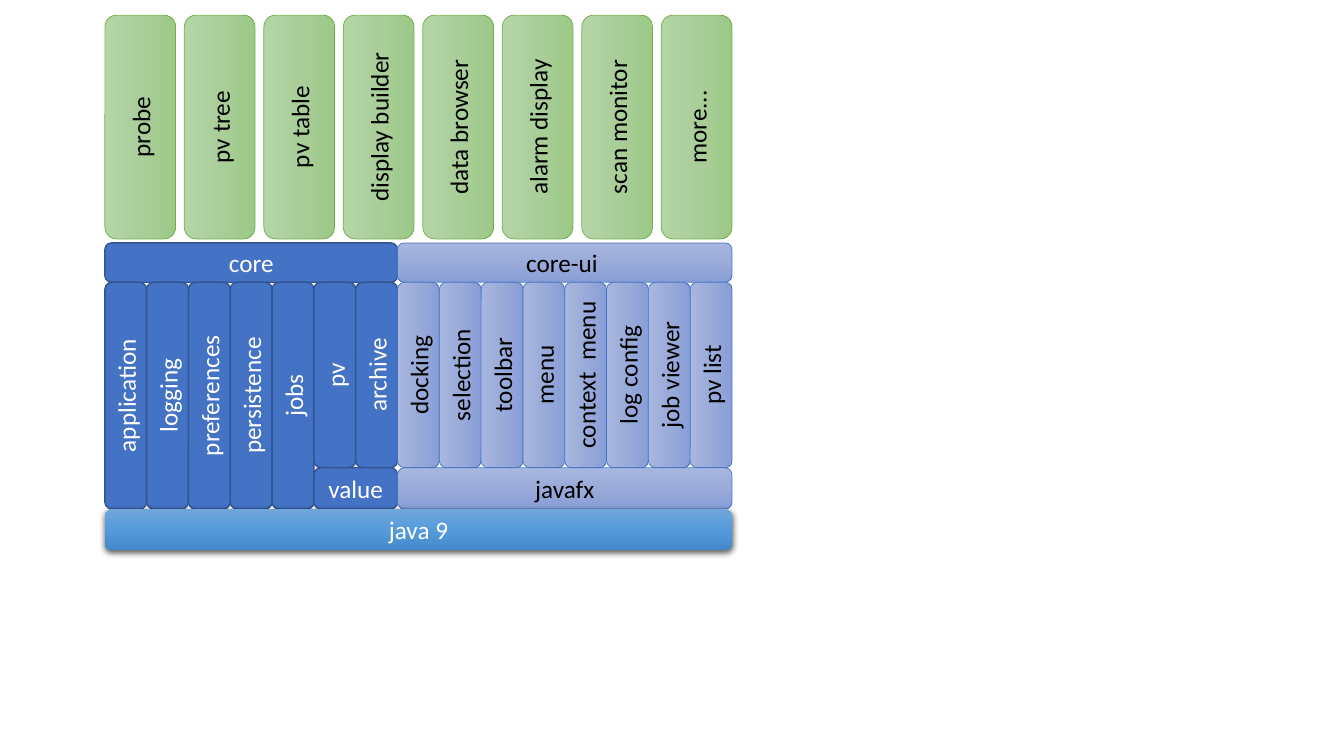
from copy import deepcopy
from dataclasses import dataclass
from typing import Optional

from lxml.etree import SubElement
from pptx import Presentation
from pptx.dml.color import RGBColor
from pptx.enum.shapes import MSO_SHAPE as Shape
from pptx.enum.text import MSO_ANCHOR as Anchor, PP_ALIGN as Align
from pptx.oxml.ns import qn
from pptx.util import Inches, Pt

WHITE = RGBColor(0xFF, 0xFF, 0xFF)
BLACK = RGBColor(0x00, 0x00, 0x00)
BLUE = RGBColor(0x44, 0x72, 0xC4)
NAVY = RGBColor(0x32, 0x54, 0x91)
GREEN = RGBColor(0x70, 0xAD, 0x47)
PALE = (RGBColor(0xA8, 0xB7, 0xDF), RGBColor(0x9A, 0xAB, 0xD9), RGBColor(0x88, 0x9E, 0xD7))
LEAF = (RGBColor(0xB5, 0xD5, 0xA7), RGBColor(0xAA, 0xCE, 0x9A), RGBColor(0x9C, 0xC9, 0x87))
SKY = (RGBColor(0x71, 0xA6, 0xDB), RGBColor(0x55, 0x9B, 0xDB), RGBColor(0x44, 0x8A, 0xCA))

# Grid: equal columns, and the edges of the rows
LEFT, WIDTH, COLS = 1.04, 6.22, 15
COL = WIDTH / COLS
EDGES = (0.15, 2.37, 2.41, 2.80, 4.64, 5.05, 5.46)
APPS, HEAD, BODY, BASE, JAVA = 0, 2, 3, 4, 5
GAP = 0.21  # columns between apps


@dataclass(frozen=True)
class Style:
    fill: tuple[RGBColor, ...]
    ink: RGBColor
    line: Optional[RGBColor] = None
    weight: float = 0.5
    shadow: bool = False


@dataclass(frozen=True)
class Tile:
    text: str
    style: Style
    row: int
    col: float
    span: float = 1
    rows: int = 1
    turned: bool = False


CORE = Style((BLUE,), WHITE, NAVY, 1)
UI = Style(PALE, BLACK, BLUE)
APP = Style(LEAF, BLACK, GREEN)
BED = Style(SKY, WHITE, shadow=True)


def paint(shape, style: Style) -> None:
    """Set fill, outline and shadow."""
    fill = shape.fill
    if len(style.fill) == 1:
        fill.solid()
        fill.fore_color.rgb = style.fill[0]
    else:
        fill.gradient()
        fill.gradient_angle = 270
        stops = shape._element.spPr.find(qn("a:gradFill")).find(qn("a:gsLst"))
        stops.append(deepcopy(stops[0]))
        for i, (stop, tint) in enumerate(zip(fill.gradient_stops, style.fill)):
            stop.position = i / 2
            stop.color.rgb = tint
    if style.line is None:
        shape.line.fill.background()
    else:
        shape.line.color.rgb = style.line
        shape.line.width = Pt(style.weight)
    shape.shadow.inherit = False
    if style.shadow:
        effects = shape._element.spPr.find(qn("a:effectLst"))
        outer = SubElement(effects, qn("a:outerShdw"), blurRad=str(Pt(4.5)),
                           dist=str(Pt(1.5)), dir="5400000", rotWithShape="0")
        tone = SubElement(outer, qn("a:srgbClr"), val=str(BLACK))
        SubElement(tone, qn("a:alpha"), val="63000")


def label(shape, tile: Tile) -> None:
    """Write the centred name of a tile."""
    frame = shape.text_frame
    frame.word_wrap = True
    frame.vertical_anchor = Anchor.MIDDLE
    para = frame.paragraphs[0]
    para.alignment = Align.CENTER
    run = para.add_run()
    run.text = tile.text
    for key, value in {"name": "Calibri", "size": Pt(18)}.items():
        setattr(run.font, key, value)
    run.font.color.rgb = tile.style.ink


def draw(shapes, tile: Tile) -> None:
    """Place a tile on the grid; a turned one reads upwards."""
    x, y = LEFT + tile.col * COL, EDGES[tile.row]
    w, h = tile.span * COL, EDGES[tile.row + tile.rows] - y
    if tile.turned:
        x, y, w, h = x + (w - h) / 2, y + (h - w) / 2, h, w
    shape = shapes.add_shape(Shape.ROUNDED_RECTANGLE, *map(Inches, (x, y, w, h)))
    shape.rotation = 270 if tile.turned else 0
    paint(shape, tile.style)
    label(shape, tile)


def strip(names: list[str], style: Style, row: int, col: float,
          span: float = 1, gap: float = 0, rows: int = 1) -> list[Tile]:
    """Turned tiles side by side."""
    return [Tile(name, style, row, col + i * (span + gap), span, rows, True)
            for i, name in enumerate(names)]


apps = ["probe", "pv tree", "pv table", "display builder", "data browser",
        "alarm display", "scan monitor", "more..."]
tall = ["application", "logging", "preferences", "persistence", "jobs"]
short = ["pv", "archive"]
views = ["docking", "selection", "toolbar", "menu", "context  menu",
         "log config", "job viewer", "pv list"]
split = len(tall) + len(short)
wide = (COLS - GAP * (len(apps) - 1)) / len(apps)

tiles = [
    # Headers
    Tile("core", CORE, HEAD, 0, split),
    Tile("core-ui ", UI, HEAD, split, len(views)),
    # Modules
    *strip(tall, CORE, BODY, 0, rows=2),
    *strip(short, CORE, BODY, len(tall)),
    *strip(views, UI, BODY, split),
    # Foundations
    Tile("value", CORE, BASE, len(tall), len(short)),
    Tile("javafx", UI, BASE, split, len(views)),
    Tile("java 9", BED, JAVA, 0, COLS),
    # Applications
    *strip(apps, APP, APPS, 0, wide, GAP),
]

deck = Presentation()
deck.slide_width, deck.slide_height = Inches(13.33), Inches(7.5)
slide = deck.slides.add_slide(deck.slide_layouts[6])
for tile in tiles:
    draw(slide.shapes, tile)
deck.save("out.pptx")
